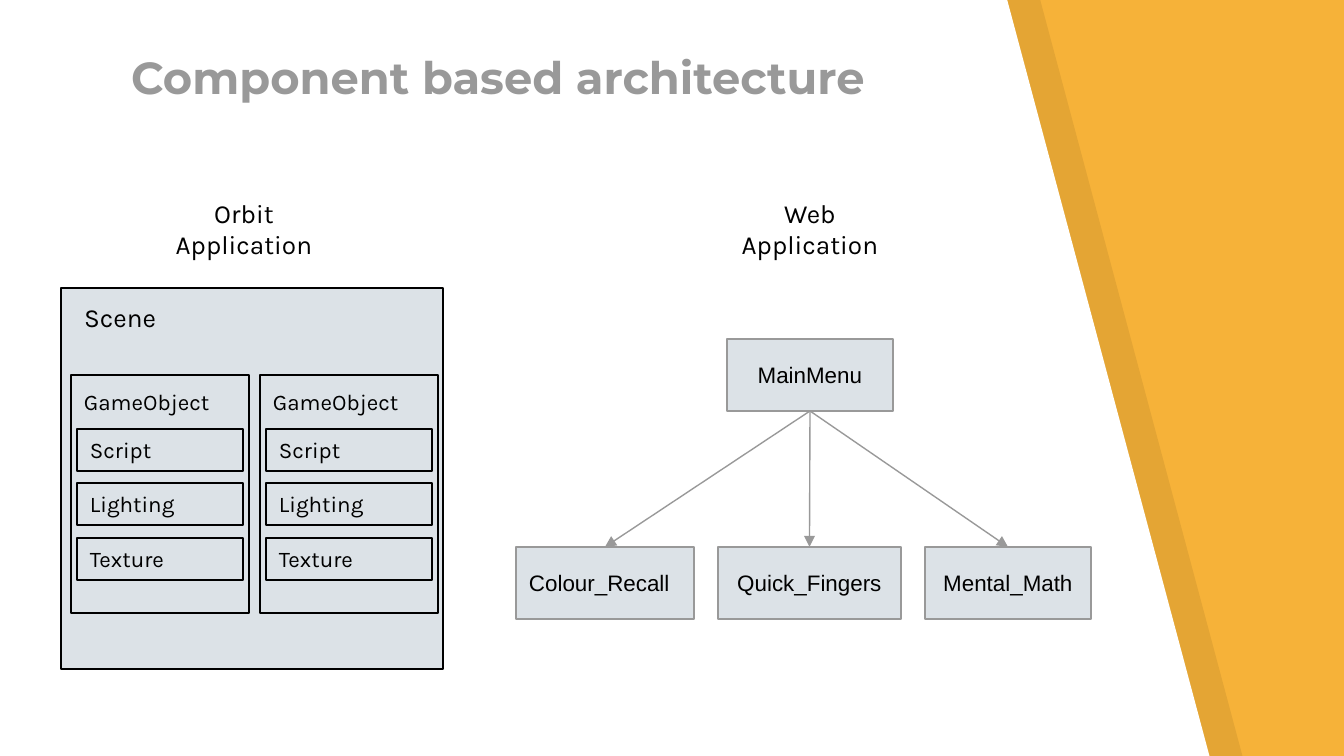
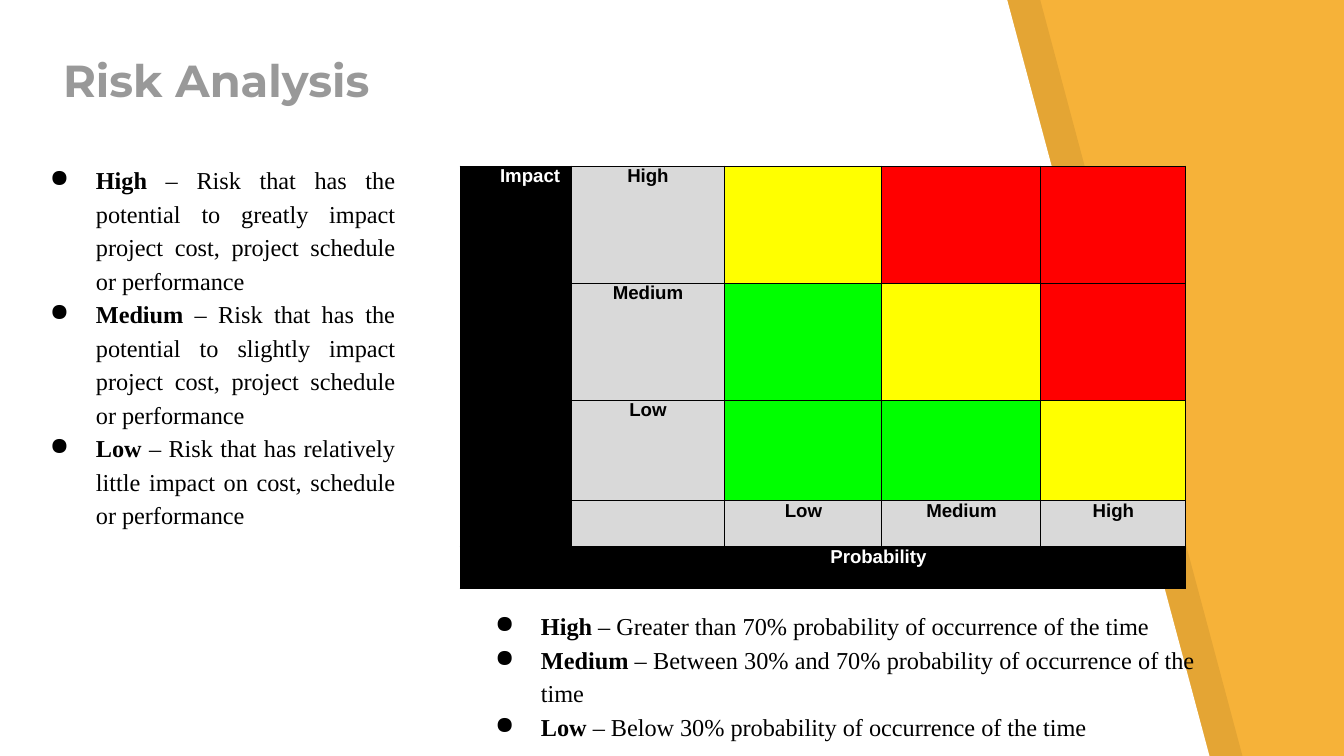
import pptx
import pptx.util
import pptx.dml.color
import pptx.enum.shapes
import pptx.enum.text
import pptx.oxml.ns
from lxml import etree

PX = 914400 / 134.4
WIDE, HIGH = 1344, 756
PAD = 13

AMBER, WHITE, BLACK = "F6B239", "FFFFFF", "000000"
GREY, MIST, SILVER = "999999", "DCE2E7", "D9D9D9"
RED, YELLOW, GREEN = "FF0000", "FFFF00", "00FF00"
HEAD, BODY, PLAIN, SERIF = "Montserrat", "Karla", "Arial", "Times New Roman"

ALIGN = pptx.enum.text.PP_ALIGN
ANCHOR = pptx.enum.text.MSO_ANCHOR


def px(n):
    return pptx.util.Emu(round(n * PX))


def place(*lens):
    return [px(n) for n in lens]


def rgb(code):
    return pptx.dml.color.RGBColor.from_string(code)


def paint(fill, code):
    fill.solid()
    fill.fore_color.rgb = rgb(code)


def sub(node, tag, **attrs):
    return etree.SubElement(node, pptx.oxml.ns.qn(tag), attrs)


def style(run, font, size, color=BLACK, bold=False):
    run.font.name = font
    run.font.size = pptx.util.Pt(size)
    run.font.bold = bold
    run.font.color.rgb = rgb(color)


def set_up(frame, anchor=ANCHOR.TOP):
    frame.word_wrap = True
    frame.auto_size = pptx.enum.text.MSO_AUTO_SIZE.NONE
    frame.vertical_anchor = anchor
    frame.margin_left = frame.margin_right = px(PAD)
    frame.margin_top = frame.margin_bottom = px(PAD)


def write(frame, text, font, size, align=ALIGN.LEFT, anchor=ANCHOR.TOP,
          color=BLACK, bold=False):
    set_up(frame, anchor)
    frame.text = text
    line = frame.paragraphs[0]
    line.alignment = align
    style(line.runs[0], font, size, color, bold)


def label(slide, text, box, size=12, align=ALIGN.LEFT):
    shape = slide.shapes.add_textbox(*place(*box))
    write(shape.text_frame, text, BODY, size, align)


def panel(slide, box, edge=BLACK):
    shape = slide.shapes.add_shape(
        pptx.enum.shapes.MSO_SHAPE.RECTANGLE, *place(*box))
    shape.shadow.inherit = False
    paint(shape.fill, MIST)
    shape.line.color.rgb = rgb(edge)
    shape.line.width = pptx.util.Pt(0.75)
    return shape


def band(slide, left, color, alpha=None):
    """Slanted sheet that leaves the amber page showing on the right."""
    pen = slide.shapes.build_freeform(left, -1, scale=PX)
    pen.add_line_segments([(left, HIGH + 2), (left + 1210, HIGH + 2),
                           (left + 1007, -1)], close=True)
    shape = pen.convert_to_shape()
    shape.shadow.inherit = False
    shape.line.fill.background()
    paint(shape.fill, color)
    if alpha:
        tint = shape.fill._xPr.find(".//" + pptx.oxml.ns.qn("a:srgbClr"))
        sub(tint, "a:alpha", val=str(alpha * 1000))


def start(deck, text, box):
    slide = deck.slides.add_slide(deck.slide_layouts[5])
    band(slide, 33, BLACK, 7)
    band(slide, 0, WHITE)
    title = slide.shapes.title
    title.left, title.top, title.width, title.height = place(*box)
    write(title.text_frame, text, HEAD, 24, anchor=ANCHOR.BOTTOM,
          color=GREY, bold=True)
    slide.shapes._spTree.append(title._element)
    return slide


def game(slide, x, y):
    panel(slide, (x, y, 178, 238))
    label(slide, "GameObject", (x, y, 178, 54))
    for i, part in enumerate(("Script", "Lighting", "Texture")):
        left, top = x + 6, y + 54 + round(i * 54.5)
        panel(slide, (left, top, 166, 42))
        label(slide, part, (left, top - 6, 178, 54))


def scene(slide, x, y):
    panel(slide, (x, y, 382, 381))
    label(slide, "Scene", (x + 10, y, 199, 59), 14)
    for i in range(2):
        game(slide, x + 10 + i * 189, y + 87)


def node(slide, text, box, align=ALIGN.CENTER):
    shape = panel(slide, box, GREY)
    write(shape.text_frame, text, PLAIN, 12, align, ANCHOR.MIDDLE)
    return shape


def arrow(slide, top, low):
    line = slide.shapes.add_connector(
        pptx.enum.shapes.MSO_CONNECTOR.STRAIGHT, 0, 0, 0, 0)
    line.begin_connect(top, 2)
    line.end_connect(low, 0)
    line.line.color.rgb = rgb(GREY)
    line.line.width = pptx.util.Pt(0.75)
    sub(line.line._get_or_add_ln(), "a:tailEnd", type="triangle")
    sub(line._element.spPr, "a:effectLst")


def menu(slide, x, y):
    root = node(slide, "MainMenu", (x + 211, y, 166, 72))
    for text, left, width, align in (
            ("Colour_Recall", 0, 178, ALIGN.LEFT),
            ("Quick_Fingers", 202, 183, ALIGN.CENTER),
            ("Mental_Math", 409, 166, ALIGN.CENTER)):
        game_box = (x + left, y + 208, width, 72)
        arrow(slide, root, node(slide, text, game_box, align))


def border(cell):
    props = cell._tc.get_or_add_tcPr()
    for side in "LRTB":
        line = sub(props, "a:ln" + side, w=str(pptx.util.Pt(0.5)))
        sub(sub(line, "a:solidFill"), "a:srgbClr", val=BLACK)


def matrix(slide, x, y):
    cols, rows = (111, 154, 157, 159, 145), (117, 117, 101, 46, 42)
    fills = ((BLACK, SILVER, YELLOW, RED, RED),
             (BLACK, SILVER, GREEN, YELLOW, RED),
             (BLACK, SILVER, GREEN, GREEN, YELLOW),
             (BLACK, SILVER, SILVER, SILVER, SILVER),
             (BLACK,) * 5)
    words = {(0, 0): "Impact", (4, 1): "Probability"}
    for i, level in enumerate(("High", "Medium", "Low")):
        words[i, 1] = words[3, 4 - i] = level
    grid = slide.shapes.add_table(
        5, 5, *place(x, y, sum(cols), sum(rows))).table
    grid.first_row = grid.horz_banding = False
    for col, width in zip(grid.columns, cols):
        col.width = px(width)
    for row, height in zip(grid.rows, rows):
        row.height = px(height)
    for r, line in enumerate(fills):
        for c, color in enumerate(line):
            cell = grid.cell(r, c)
            cell.margin_left = cell.margin_right = 0
            cell.margin_top = cell.margin_bottom = 0
            border(cell)
            paint(cell.fill, color)
            if (r, c) in words:
                cell.text = words[r, c]
                par = cell.text_frame.paragraphs[0]
                par.alignment = ALIGN.CENTER
                style(par.runs[0], PLAIN, 10,
                      WHITE if color == BLACK else BLACK, True)
    impact = grid.cell(0, 0)
    impact.margin_right = px(11)
    impact.text_frame.paragraphs[0].alignment = ALIGN.RIGHT
    impact.merge(grid.cell(3, 0))
    grid.cell(4, 1).merge(grid.cell(4, 4))


def levels(slide, box, items):
    """Bulleted list of bold level names, each with its meaning."""
    frame = slide.shapes.add_textbox(*place(*box)).text_frame
    set_up(frame)
    for i, (name, text) in enumerate(items):
        par = frame.add_paragraph() if i else frame.paragraphs[0]
        par.alignment = ALIGN.JUSTIFY
        par.line_spacing = 1.15
        props = par._p.get_or_add_pPr()
        props.set("marL", str(px(67)))
        props.set("indent", str(px(-46)))
        sub(sub(props, "a:buClr"), "a:srgbClr", val=BLACK)
        sub(props, "a:buChar", char="●")
        for words, bold in ((name, True), (" – " + text, False)):
            run = par.add_run()
            run.text = words
            style(run, SERIF, 13, bold=bold)


def design(deck):
    slide = start(deck, "Component based architecture", (118, 46, 782, 71))
    scene(slide, 61, 288)
    menu(slide, 516, 339)
    for text, left in (("Orbit Application", 141), ("Web Application", 707)):
        label(slide, text, (left, 184, 206, 90), 14, ALIGN.CENTER)


def risk(deck):
    slide = start(deck, "Risk Analysis", (50, 38, 884, 82))
    matrix(slide, 460, 166)
    cost = "Risk that has the potential to {} impact project cost, " \
           "project schedule or performance"
    odds = "{} probability of occurrence of the time"
    levels(slide, (16, 148, 392, 446), (
        ("High", cost.format("greatly")),
        ("Medium", cost.format("slightly")),
        ("Low", "Risk that has relatively little impact on cost, "
                "schedule or performance")))
    levels(slide, (461, 594, 746, 194), (
        ("High", odds.format("Greater than 70%")),
        ("Medium", odds.format("Between 30% and 70%")),
        ("Low", odds.format("Below 30%"))))


def main():
    deck = pptx.Presentation()
    deck.slide_width, deck.slide_height = place(WIDE, HIGH)
    paint(deck.slide_master.background.fill, AMBER)
    design(deck)
    risk(deck)
    deck.save("out.pptx")


if __name__ == "__main__":
    main()
